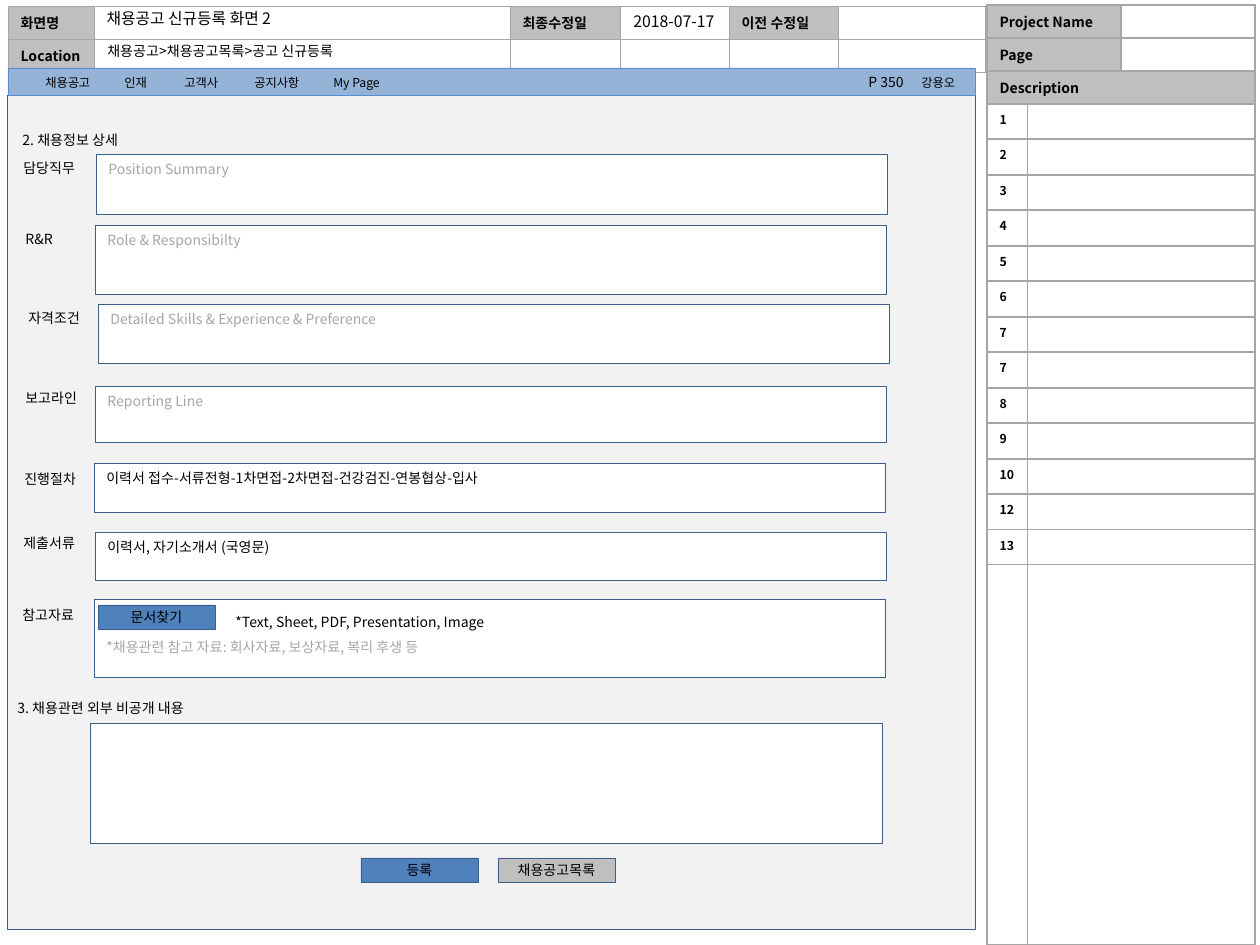
from lxml import etree
from pptx import Presentation, util as u
from pptx.dml.color import RGBColor
from pptx.enum import shapes, text as tx
from pptx.oxml import ns

PX = 914400 / 126
FACE = "Noto Sans CJK KR"
BLACK, GREY, WHITE = "000000", "A6A6A6", "FFFFFF"
HEAD, BLUE, EDGE = "BFBFBF", "4F81BD", "3A5F8C"
hue = RGBColor.from_string


def write(frame, text, size=8, color=BLACK, bold=False, align=tx.PP_ALIGN.LEFT):
    para = frame.paragraphs[0]
    para.alignment = align
    if not text:
        # an empty line still sets the least height of a table row
        para._p.get_or_add_endParaRPr().set("sz", str(size * 100))
        return
    run = para.add_run()
    run.text = text
    font = run.font
    font.size, font.bold, font.name = u.Pt(size), bold, FACE
    font.color.rgb = hue(color)
    etree.SubElement(run._r.get_or_add_rPr(), ns.qn("a:ea"), typeface=FACE)


def box(x, y, w, h, text="", fill=None, line=EDGE, mid=False, top=7, **style):
    """Add a filled rectangle, or a plain text box when there is no fill."""
    spot = [round(n * PX) for n in (x, y, w, h)]
    if fill:
        item = slide.shapes.add_shape(shapes.MSO_SHAPE.RECTANGLE, *spot)
        item.shadow.inherit = False
        item.fill.solid()
        item.fill.fore_color.rgb = hue(fill)
        item.line.color.rgb = hue(line)
        item.line.width = u.Pt(0.25)
    else:
        item = slide.shapes.add_textbox(*spot)
    frame = item.text_frame
    frame.word_wrap = True
    frame.margin_top = round(top * PX)
    frame.vertical_anchor = tx.MSO_ANCHOR.MIDDLE if mid else tx.MSO_ANCHOR.TOP
    if text:
        write(frame, text, **style)


deck = Presentation()
deck.slide_width, deck.slide_height = u.Inches(10), u.Inches(7.5)
slide = deck.slides.add_slide(deck.slide_layouts[5])

# Header table and description table
info = [["화면명", "", "최종수정일", "", "이전 수정일", ""],
        ["Location", "", "", "", "", ""]]
marks = [1, 2, 3, 4, 5, 6, 7, 7, 8, 9, 10, 12, 13]
notes = [["Project Name", "", ""], ["Page", "", ""], ["Description", "", ""]]
notes += [[str(m), "", ""] for m in marks] + [["", "", ""]]
steps = [33, 33, 33] + [35 + i % 2 for i in range(len(marks))] + [380]
tables = [
    (8, 6, [86, 416, 110, 109, 109, 148], [33, 33], info),
    (987, 5, [40, 94, 134], steps, notes),
]
for x, y, wide, high, rows in tables:
    spot = [round(n * PX) for n in (x, y, sum(wide), sum(high))]
    grid = slide.shapes.add_table(len(rows), len(wide), *spot).table
    grid.first_row = grid.horz_banding = False
    for col, w in zip(grid.columns, wide):
        col.width = round(w * PX)
    for row, h in zip(grid.rows, high):
        row.height = round(h * PX)
    side = rows is notes
    for r, row in enumerate(rows):
        for c, word in enumerate(row):
            cell = grid.cell(r, c)
            props = cell._tc.get_or_add_tcPr()
            thin = {"L": c == 1, "R": c == 0} if side and r > 2 else {}
            for edge in "LRTB":
                pt = 1 if side and not thin.get(edge) else 0.5
                ln = etree.SubElement(props, ns.qn("a:ln" + edge), w=str(u.Pt(pt)))
                paint = etree.SubElement(ln, ns.qn("a:solidFill"))
                etree.SubElement(paint, ns.qn("a:srgbClr"), val=GREY)
            head = word and not (side and r > 2)
            cell.fill.solid()
            cell.fill.fore_color.rgb = hue(HEAD if head else WHITE)
            write(cell.text_frame, word, size=7 if side and r > 2 else 8, bold=True)
    if side:
        for r in range(len(rows)):
            first, last = (0, 1) if r < 2 else (0, 2) if r == 2 else (1, 2)
            grid.cell(r, first).merge(grid.cell(r, last))

# Screen title, raised above the header table
title = slide.shapes.title
slide.shapes._spTree.append(title._element)
title.left, title.top, title.width, title.height = [
    round(n * PX) for n in (94, 2, 387, 32)]
frame = title.text_frame
frame.auto_size = tx.MSO_AUTO_SIZE.NONE
frame.word_wrap = True
frame.vertical_anchor = tx.MSO_ANCHOR.TOP
write(frame, "채용공고 신규등록 화면 2", size=9)
box(621, 5, 118, 32, "2018-07-17", size=9)
box(95, 36, 326, 30, "채용공고>채용공고목록>공고 신규등록", top=6)

# Page body and menu bar
box(7, 95, 968, 834, fill="F2F2F2")
box(8, 68, 967, 27, fill="95B3D7", line="558ED5")
menu = [(33, 79, "채용공고"), (112, 79, "인재"), (172, 79, "고객사"),
        (242, 79, "공지사항"), (321, 101, "My Page"), (909, 68, "강용오")]
for x, w, name in menu:
    box(x, 69, w, 28, name, size=7, top=6)
box(856, 67, 72, 30, "P 350", top=6)

# Form: label place, field place and height, field text and its colour
box(10, 125, 185, 30, "2. 채용정보 상세")
form = [
    ("담당직무", 11, 153, 96, 154, 60, "Position Summary", GREY),
    ("R&R", 13, 224, 95, 225, 69, "Role & Responsibilty", GREY),
    ("자격조건", 16, 303, 98, 304, 59, "Detailed Skills & Experience & Preference", GREY),
    ("보고라인", 13, 383, 95, 386, 56, "Reporting Line", GREY),
    ("진행절차", 12, 464, 94, 463, 49,
     "이력서 접수-서류전형-1차면접-2차면접-건강검진-연봉협상-입사", BLACK),
    ("제출서류", 11, 528, 95, 532, 48, "이력서, 자기소개서 (국영문)", BLACK),
    ("참고자료", 10, 600, 94, 599, 78,
     "*채용관련 참고 자료: 회사자료, 보상자료, 복리 후생 등", GREY),
]
for name, lx, ly, x, y, h, hint, color in form:
    box(x, y, 791, h, hint, fill=WHITE, color=color, top=40 if name == "참고자료" else 7)
    box(lx, ly, 115, 30, name)
box(223, 607, 525, 30, "*Text, Sheet, PDF, Presentation, Image")

box(5, 693, 304, 30, "3. 채용관련 외부 비공개 내용")
box(90, 723, 792, 120, fill=WHITE)

# Buttons
for x, y, name, fill in [(98, 605, "문서찾기", BLUE), (361, 858, "등록", BLUE),
                         (498, 858, "채용공고목록", HEAD)]:
    box(x, y, 117, 24, name, fill=fill, mid=True, top=6, align=tx.PP_ALIGN.CENTER)

deck.save("out.pptx")
